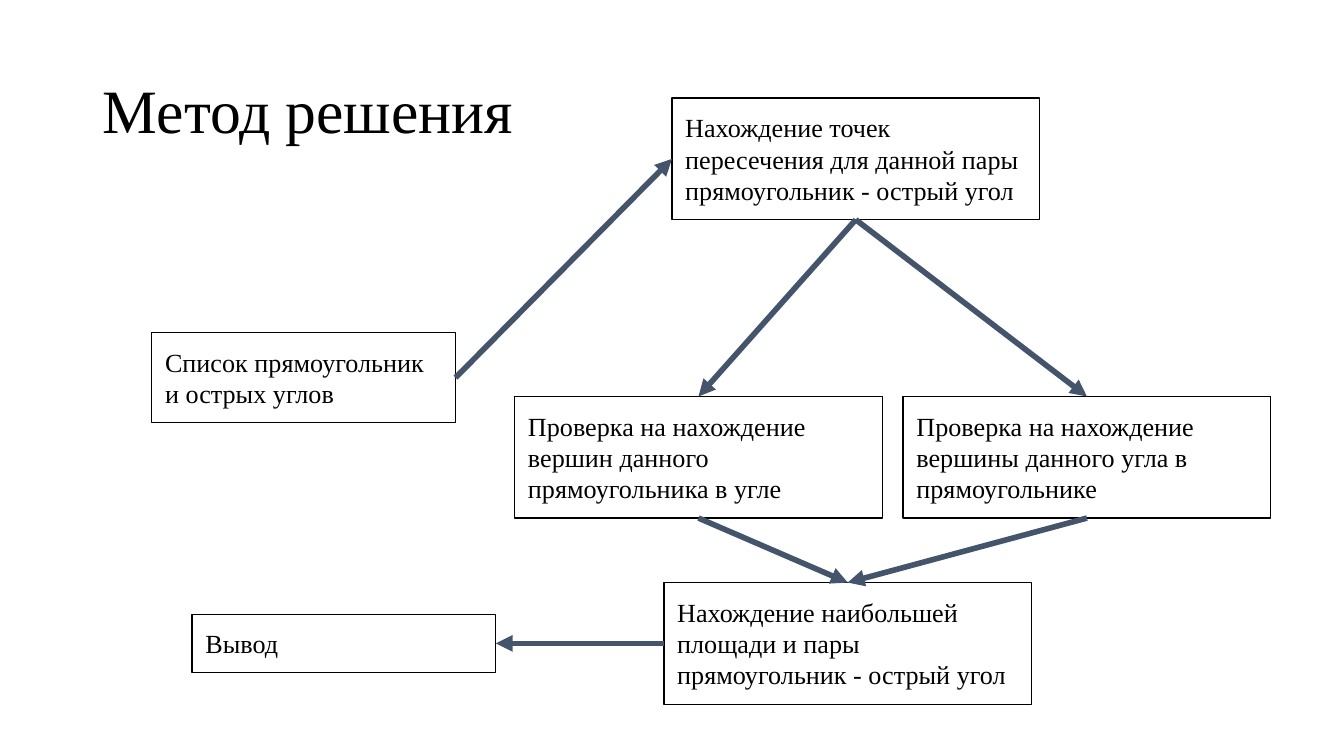
from lxml import etree
from pptx import Presentation
from pptx.dml.color import RGBColor
from pptx.enum.shapes import MSO_CONNECTOR, MSO_SHAPE
from pptx.enum.text import MSO_ANCHOR, MSO_AUTO_SIZE, PP_ALIGN
from pptx.oxml.ns import qn
from pptx.util import Emu, Pt

PX = 4572
RECT = MSO_SHAPE.RECTANGLE
STRAIGHT = MSO_CONNECTOR.STRAIGHT
ANCHOR_TOP, ANCHOR_MIDDLE = MSO_ANCHOR.TOP, MSO_ANCHOR.MIDDLE
NO_AUTOFIT = MSO_AUTO_SIZE.NONE
ALIGN_LEFT = PP_ALIGN.LEFT
TOP, LEFT, BOTTOM, RIGHT = range(4)
FONT = "Times New Roman"
BLACK = "000000"
SLATE = "44546A"

WIDE, NARROW = 547, 452
TALL = 181
CHECK_Y = 590

STEPS = {
    "input": ((226, 495, NARROW, 134), "Список прямоугольник\vи острых углов"),
    "points": ((1000, 146, WIDE, TALL),
               "Нахождение точек пересечения для данной пары прямоугольник - острый угол"),
    "angle": ((1344, CHECK_Y, WIDE, TALL),
              "Проверка на нахождение вершины данного угла в прямоугольнике"),
    "vertices": ((766, CHECK_Y, WIDE, TALL),
                 "Проверка на нахождение вершин данного прямоугольника в угле"),
    "largest": ((988, 867, WIDE, TALL),
                "Нахождение наибольшей площади и пары прямоугольник - острый угол"),
    "output": ((286, 914, NARROW, 87), "Вывод"),
}
ARROWS = [
    ("input", RIGHT, "points", LEFT),
    ("points", BOTTOM, "angle", TOP),
    ("points", BOTTOM, "vertices", TOP),
    ("vertices", BOTTOM, "largest", TOP),
    ("angle", BOTTOM, "largest", TOP),
    ("largest", LEFT, "output", RIGHT),
]


def px(n):
    return Emu(n * PX)


def rgb(value):
    return RGBColor.from_string(value)


def set_attrs(obj, values):
    for name, value in values.items():
        setattr(obj, name, value)


def format_text(tf, size, anchor, margin_x, margin_y):
    set_attrs(tf, {"word_wrap": True, "auto_size": NO_AUTOFIT,
                   "vertical_anchor": anchor,
                   "margin_left": px(margin_x), "margin_right": px(margin_x),
                   "margin_top": px(margin_y), "margin_bottom": px(margin_y)})
    p = tf.paragraphs[0]
    p.alignment = ALIGN_LEFT
    for r in p.runs:
        set_attrs(r.font, {"name": FONT, "size": Pt(size)})
        r.font.color.rgb = rgb(BLACK)
    return p


def add_title(slide, box, text):
    sp = slide.shapes.title
    set_attrs(sp, dict(zip(("left", "top", "width", "height"), map(px, box))))
    sp.text_frame.text = text
    p = format_text(sp.text_frame, 33, ANCHOR_MIDDLE, 15, 8)
    p.line_spacing = 0.9


def add_step(slide, box, text):
    sp = slide.shapes.add_shape(RECT, *map(px, box))
    sp.shadow.inherit = False
    sp.fill.background()
    sp.line.color.rgb = rgb(BLACK)
    sp.line.width = Pt(0.75)
    sp.text_frame.text = text
    format_text(sp.text_frame, 14, ANCHOR_TOP, 20, 20)
    return sp


def add_arrow(slide, start, start_side, end, end_side):
    cx = slide.shapes.add_connector(STRAIGHT, 0, 0, 0, 0)
    cx.begin_connect(start, start_side)
    cx.end_connect(end, end_side)
    cx.line.color.rgb = rgb(SLATE)
    cx.line.width = Pt(3)
    props = cx.element.spPr
    etree.SubElement(props.find(qn("a:ln")), qn("a:tailEnd"), type="triangle")
    etree.SubElement(props, qn("a:effectLst"))


def add_flowchart(slide, steps, arrows):
    shapes = {name: add_step(slide, box, text)
              for name, (box, text) in steps.items()}
    for start, start_side, end, end_side in arrows:
        add_arrow(slide, shapes[start], start_side, shapes[end], end_side)


def main():
    prs = Presentation()
    prs.slide_width, prs.slide_height = px(2000), px(1125)
    slide = prs.slides.add_slide(prs.slide_layouts[5])
    add_title(slide, (138, 60, 1725, 217), "Метод решения")
    add_flowchart(slide, STEPS, ARROWS)
    prs.save("out.pptx")


if __name__ == "__main__":
    main()
